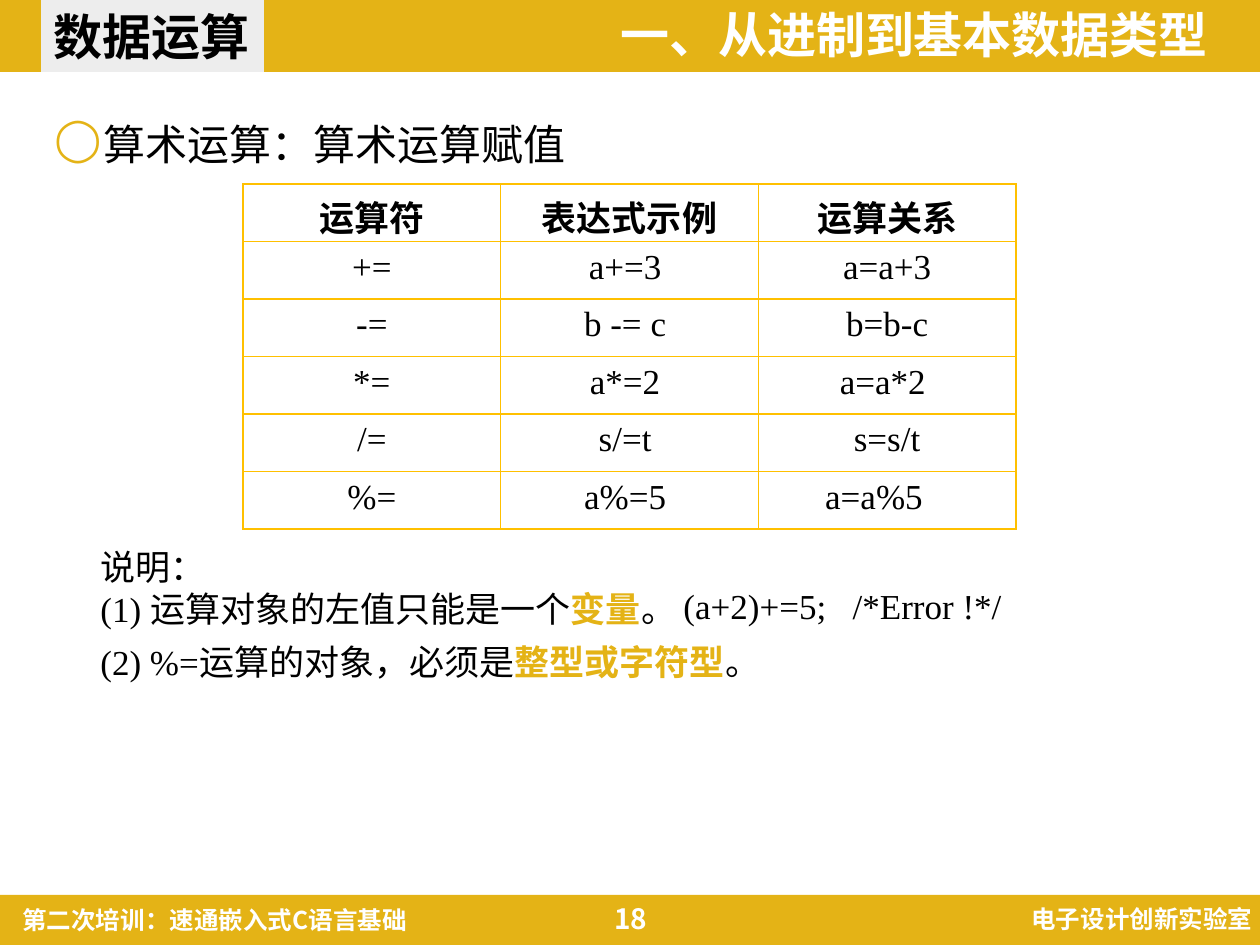
from dataclasses import dataclass

from lxml.etree import SubElement
from pptx import Presentation
from pptx.dml.color import RGBColor
from pptx.enum.shapes import MSO_SHAPE as Shape
from pptx.enum.text import MSO_ANCHOR as Anchor, MSO_AUTO_SIZE as AutoSize, PP_ALIGN as Align
from pptx.oxml.ns import qn
from pptx.util import Emu, Pt

PX = 914400 / 126


@dataclass(frozen=True)
class Theme:
    gold: str = "E4B316"
    grid: str = "FFC000"
    panel: str = "EDEDED"
    white: str = "FFFFFF"
    black: str = "000000"
    sans: str = "Noto Sans CJK SC"
    serif: str = "Times New Roman"
    title: int = 28
    heading: int = 24
    body: int = 20
    number: int = 16
    footer: int = 14


THEME = Theme()


@dataclass(frozen=True)
class Box:
    left: int
    top: int
    width: int
    height: int

    def emu(self) -> list[Emu]:
        return [px(n) for n in (self.left, self.top, self.width, self.height)]


@dataclass(frozen=True)
class Style:
    size: int
    color: str = THEME.black
    bold: bool = False
    font: str = THEME.serif


@dataclass(frozen=True)
class Label:
    box: Box
    lines: list  # each line is a list of (text, style) runs
    align: Align = Align.LEFT
    anchor: Anchor = Anchor.TOP
    wrap: bool = True
    fill: str | None = None
    line_spacing: float | Pt | None = None


PLAIN = Style(THEME.body)
STRONG = Style(THEME.body, bold=True)
KEYWORD = Style(THEME.body, THEME.gold, True)
HEADING = Style(THEME.heading)
TOPIC = Style(THEME.title, THEME.black, True, THEME.sans)
CHAPTER = Style(THEME.title, THEME.white, True, THEME.sans)
FOOTER = Style(THEME.footer, THEME.white, True, THEME.sans)
NUMBER = Style(THEME.number, THEME.white, True, THEME.sans)

BARS = [Box(0, 895, 1260, 50), Box(0, 0, 1260, 72)]

LABELS = [
    # Footer
    Label(Box(869, 898, 396, 43), [[("电子设计创新实验室", FOOTER)]], Align.RIGHT),
    Label(Box(10, 899, 503, 43), [[("第二次培训：速通嵌入式C语言基础", FOOTER)]]),
    Label(Box(553, 893, 155, 51), [[("18", NUMBER)]], Align.CENTER, Anchor.MIDDLE),
    # Header
    Label(Box(553, 9, 667, 58), [[("一、从进制到基本数据类型", CHAPTER)]],
          Align.RIGHT, Anchor.MIDDLE, line_spacing=0.9),
    Label(Box(41, 0, 223, 72), [[("数据运算", TOPIC)]],
          anchor=Anchor.MIDDLE, wrap=False, fill=THEME.panel),
    # Notes below the table
    Label(Box(88, 539, 605, 98), [
        [("说明：", PLAIN)],
        [("(1) 运算对象的左值只能是一个", PLAIN), ("变量", KEYWORD), ("。", PLAIN)],
    ], wrap=False),
    Label(Box(671, 578, 345, 55), [[("(a+2)+=5;   /*Error !*/", PLAIN)]], wrap=False),
    Label(Box(88, 634, 689, 55), [
        [("(2) %=运算的对象，必须是", PLAIN), ("整型或字符型", KEYWORD), ("。", PLAIN)],
    ], wrap=False),
]

SECTION = Label(Box(42, 107, 1178, 762), [[("算术运算：算术运算赋值", HEADING)]],
                line_spacing=Pt(32))

TABLE_BOX = Box(243, 184, 773, 345)
OPERATORS = [
    ("运算符", "表达式示例", "运算关系"),
    ("+=", "a+=3 ", "a=a+3"),
    ("-=", "b -= c ", "b=b-c"),
    ("*=", "a*=2 ", "a=a*2 "),
    ("/=", "s/=t ", "s=s/t"),
    ("%=", "a%=5 ", "a=a%5"),
]


def px(length: int) -> Emu:
    return Emu(round(length * PX))


def apply(target, formats: dict) -> None:
    for name, value in formats.items():
        setattr(target, name, value)


def add_run(paragraph, text: str, style: Style) -> None:
    run = paragraph.add_run()
    run.text = text
    apply(run.font, {"size": Pt(style.size), "bold": style.bold, "name": style.font})
    run.font.color.rgb = RGBColor.from_string(style.color)
    # East Asian typeface for the Chinese characters
    SubElement(run.font._element, qn("a:ea"), typeface=THEME.sans)


def add_bar(slide, box: Box, color: str):
    shape = slide.shapes.add_shape(Shape.RECTANGLE, *box.emu())
    shape.shadow.inherit = False
    shape.fill.solid()
    shape.fill.fore_color.rgb = RGBColor.from_string(color)
    shape.line.fill.background()
    return shape


def add_label(slide, label: Label):
    if label.fill:
        shape = add_bar(slide, label.box, label.fill)
    else:
        shape = slide.shapes.add_textbox(*label.box.emu())
    frame = shape.text_frame
    apply(frame, {"word_wrap": label.wrap, "vertical_anchor": label.anchor,
                  "auto_size": AutoSize.NONE if label.wrap else AutoSize.SHAPE_TO_FIT_TEXT})
    for index, runs in enumerate(label.lines):
        paragraph = frame.add_paragraph() if index else frame.paragraphs[0]
        apply(paragraph, {"alignment": label.align, "line_spacing": label.line_spacing})
        for text, style in runs:
            add_run(paragraph, text, style)
    return shape


def add_bullet(paragraph, symbol: str, color: str, indent: Emu) -> None:
    properties = paragraph._p.get_or_add_pPr()
    properties.set("marL", str(indent))
    properties.set("indent", str(-indent))
    bullet_color = SubElement(properties, qn("a:buClr"))
    SubElement(bullet_color, qn("a:srgbClr"), val=color)
    SubElement(properties, qn("a:buChar"), char=symbol)


def add_borders(cell, color: str) -> None:
    properties = cell._tc.get_or_add_tcPr()
    for index, side in enumerate(("lnL", "lnR", "lnT", "lnB")):
        line = properties.makeelement(qn(f"a:{side}"), {"w": str(Pt(1))})
        properties.insert(index, line)
        fill = SubElement(line, qn("a:solidFill"))
        SubElement(fill, qn("a:srgbClr"), val=color)


def add_operator_table(slide, box: Box, rows: list) -> None:
    table = slide.shapes.add_table(len(rows), len(rows[0]), *box.emu()).table
    apply(table, {"first_row": False, "horz_banding": False})
    for row_index, row in enumerate(rows):
        for column_index, text in enumerate(row):
            cell = table.cell(row_index, column_index)
            cell.fill.background()
            add_borders(cell, THEME.grid)
            paragraph = cell.text_frame.paragraphs[0]
            paragraph.alignment = Align.CENTER
            add_run(paragraph, text, PLAIN if row_index else STRONG)
    # The last relation sits a little left of centre
    cell.margin_right = px(39)


def main() -> None:
    presentation = Presentation()
    apply(presentation, {"slide_width": px(1260), "slide_height": px(945)})
    slide = presentation.slides.add_slide(presentation.slide_layouts[6])

    # Bars, then header, footer and notes
    for box in BARS:
        add_bar(slide, box, THEME.gold)
    for label in LABELS:
        add_label(slide, label)

    # Section heading and table
    section = add_label(slide, SECTION)
    add_bullet(section.text_frame.paragraphs[0], "◯", THEME.gold, px(49))
    add_operator_table(slide, TABLE_BOX, OPERATORS)

    presentation.save("out.pptx")


if __name__ == "__main__":
    main()
